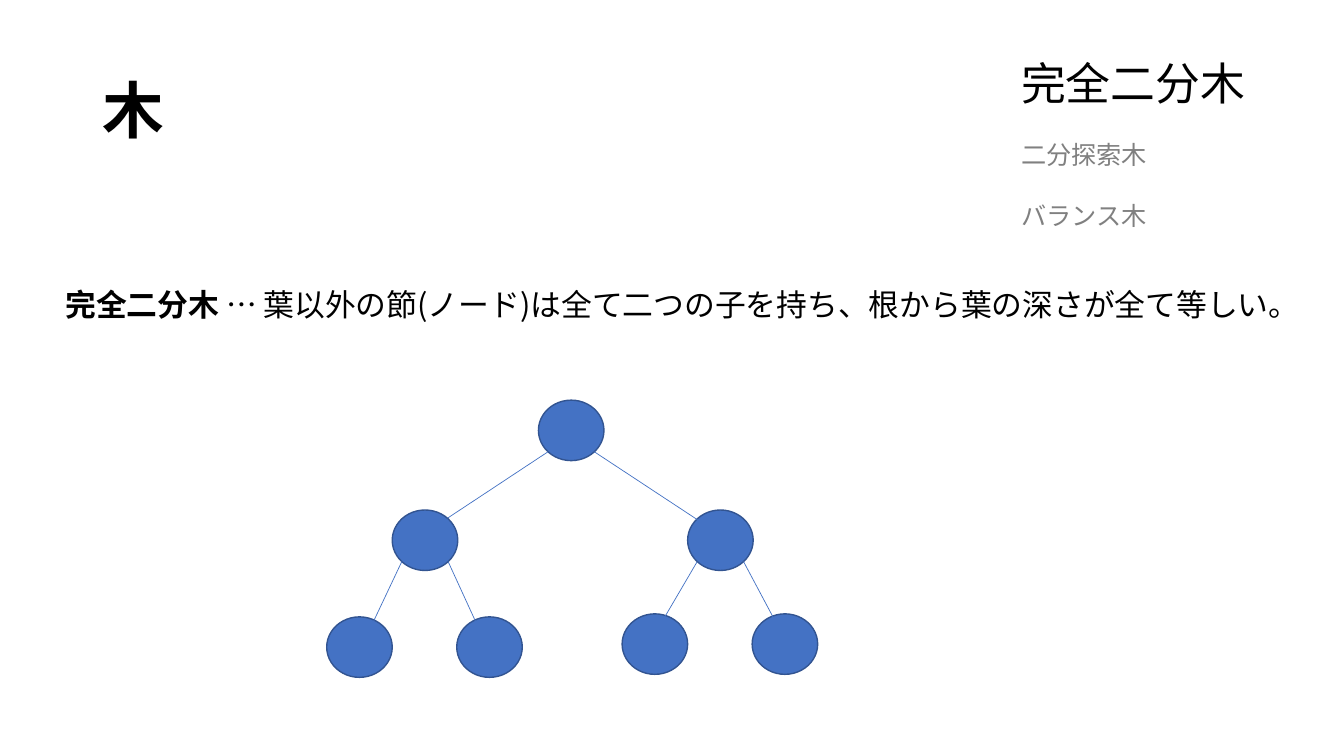
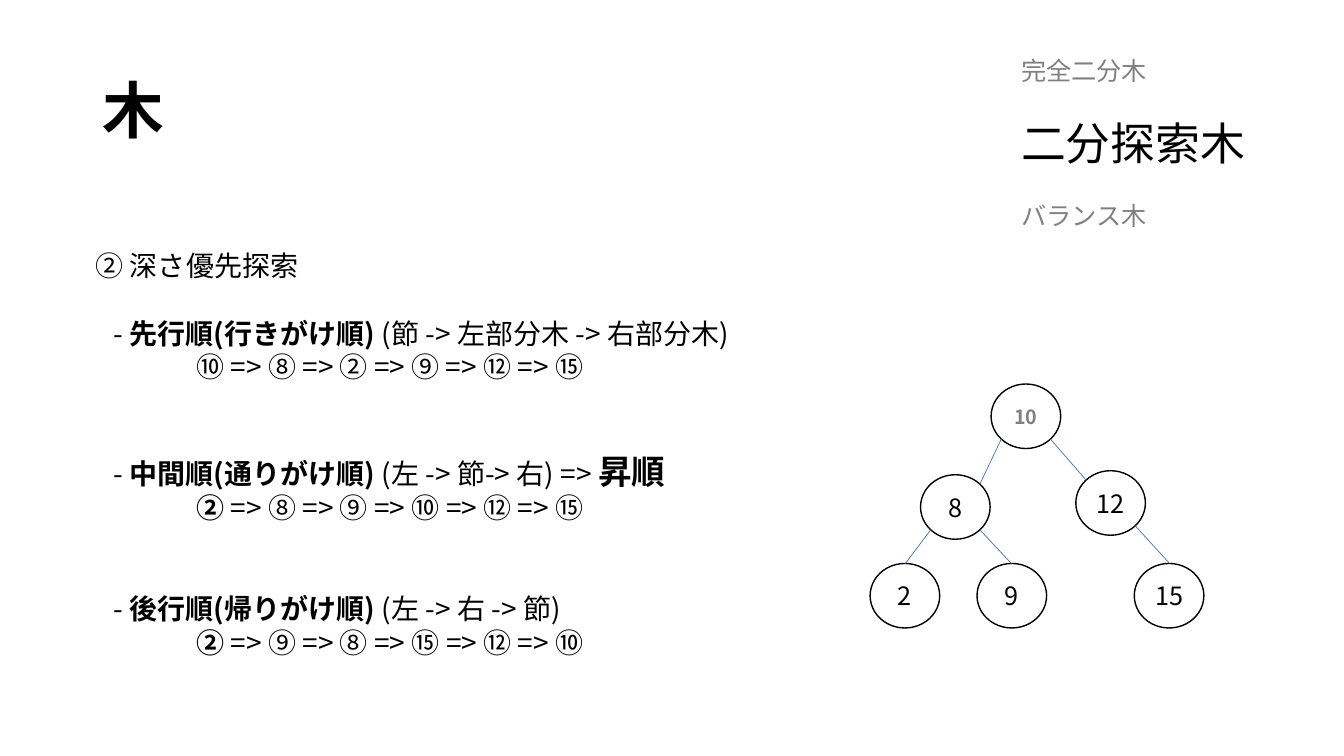
from lxml import etree
from pptx import Presentation
from pptx.dml.color import RGBColor
from pptx.enum.shapes import MSO_CONNECTOR, MSO_SHAPE
from pptx.enum.text import MSO_ANCHOR, PP_ALIGN
from pptx.oxml.ns import qn
from pptx.util import Inches, Pt

COLORS = {
    "paper": "FFFFFF",
    "ink": "000000",
    "muted": "808080",
    "node": "4472C4",
    "node_edge": "325491",
}
FONT = "Noto Sans CJK JP"
TOPICS = ["完全二分木", "二分探索木", "バランス木"]
LINE_HEIGHT = 1.2
SITE = 0.146  # distance of a diagonal connection site from the ellipse's frame


def color(name):
    return RGBColor.from_string(COLORS[name])


# Text
def add_span(para, text, size, bold=False, ink="ink"):
    span = para.add_run()
    span.text = text
    span.font.size = Pt(size)
    span.font.bold = bold
    span.font.name = FONT
    span.font.color.rgb = color(ink)
    east_asian = etree.SubElement(span._r.get_or_add_rPr(), qn("a:ea"))
    east_asian.set("typeface", FONT)


def add_box(page, left, top, width, height):
    box = page.shapes.add_textbox(
        Inches(left), Inches(top), Inches(width), Inches(height))
    frame = box.text_frame
    frame.word_wrap = True
    frame.margin_top = Inches(0.08)
    return frame


def add_line(frame, spans, size, gap=0, left=0, first=0):
    """Add one paragraph; spans are (text, bold) or (text, bold, size)."""
    para = frame.paragraphs[0]
    if para.runs:
        para = frame.add_paragraph()
    tallest = max([size] + [extra for span in spans for extra in span[2:]])
    para.line_spacing = Pt(tallest * LINE_HEIGHT)
    para.space_before = Pt(gap)
    properties = para._p.get_or_add_pPr()
    properties.set("marL", str(Inches(left)))
    properties.set("indent", str(Inches(first)))
    for text, bold, *own_size in spans:
        add_span(para, text, own_size[0] if own_size else size, bold)
    return para


# Parts shared by the slides
def add_page(deck, current):
    page = deck.slides.add_slide(deck.slide_layouts[6])
    page.background.fill.solid()
    page.background.fill.fore_color.rgb = color("paper")

    title = add_box(page, 0.92, 0.4, 3.13, 1.45)
    title.margin_top = Inches(0.05)
    title.vertical_anchor = MSO_ANCHOR.MIDDLE
    title.paragraphs[0].line_spacing = 0.9
    add_span(title.paragraphs[0], "木", 44, True)

    topics = add_box(page, 10.03, 0.47, 2.93, 1.85)
    for index, topic in enumerate(TOPICS):
        active = topic == current
        size = 32 if active else 18
        para = add_line(topics, [], size, gap=18 * LINE_HEIGHT if index else 0)
        add_span(para, topic, size, ink="ink" if active else "muted")
    return page


# Trees
def add_node(shapes, left, top, size, fill, edge):
    node = shapes.add_shape(
        MSO_SHAPE.OVAL, Inches(left), Inches(top), *map(Inches, size))
    node.shadow.inherit = False
    node.fill.solid()
    node.fill.fore_color.rgb = color(fill)
    node.line.color.rgb = color(edge)
    node.line.width = Pt(1)
    return node


def add_label(node, text, size=18, bold=False, ink="ink"):
    frame = node.text_frame
    frame.margin_left = frame.margin_right = 0
    frame.margin_top = frame.margin_bottom = 0
    frame.vertical_anchor = MSO_ANCHOR.MIDDLE
    frame.paragraphs[0].alignment = PP_ALIGN.CENTER
    add_span(frame.paragraphs[0], text, size, bold, ink)


def add_branch(shapes, parent, side, tip):
    """Draw from a lower diagonal site of the parent to the tip."""
    across = SITE if side == "left" else 1 - SITE
    branch = shapes.add_connector(
        MSO_CONNECTOR.STRAIGHT,
        int(parent.left + parent.width * across),
        int(parent.top + parent.height * (1 - SITE)),
        *map(Inches, tip))
    branch.line.color.rgb = color("node")
    branch.line.width = Pt(0.5)
    etree.SubElement(branch._element.spPr, qn("a:effectLst"))


def add_tree(shapes, places, branches, size, fill, edge):
    nodes = {name: add_node(shapes, left, top, size, fill, edge)
             for name, (left, top) in places.items()}
    for parent, side, tip in branches:
        add_branch(shapes, nodes[parent], side, tip)
    return nodes


# Slides
def add_complete_tree_page(deck):
    page = add_page(deck, TOPICS[0])
    definition = add_box(page, 0.55, 2.75, 12.42, 0.47)
    add_line(definition, [
        ("完全二分木 ", True),
        ("… 葉以外の節(ノード)は全て二つの子を持ち、"
         "根から葉の深さが全て等しい。", False),
    ], 22)
    places = {
        "root": (5.34, 3.97),
        "right": (6.82, 5.06), "left": (3.89, 5.06),
        "right leaf 2": (7.46, 6.09), "right leaf 1": (6.17, 6.09),
        "left leaf 2": (4.53, 6.12), "left leaf 1": (3.24, 6.12),
    }
    branches = [
        ("root", "left", (4.44, 5.14)), ("root", "right", (7.06, 5.25)),
        ("left", "left", (3.65, 6.28)), ("left", "right", (4.82, 6.39)),
        ("right", "left", (6.5, 6.28)), ("right", "right", (7.81, 6.39)),
    ]
    group = page.shapes.add_group_shape()
    add_tree(group.shapes, places, branches, (0.65, 0.6), "node", "node_edge")


def add_search_tree_page(deck):
    page = add_page(deck, TOPICS[1])
    # Each order: name, rule, result, first number, is it bold, the others
    orders = [
        ("先行順(行きがけ順)", " (節 -> 左部分木 -> 右部分木)", "",
         "⑩ ", False, "=> ⑧ => ② => ⑨ => ⑫ => ⑮"),
        ("中間順(通りがけ順)", " (左 -> 節-> 右) => ", "昇順",
         "② ", True, "=> ⑧ => ⑨ => ⑩ => ⑫ => ⑮"),
        ("後行順(帰りがけ順)", " (左 -> 右 -> 節)", "",
         "② ", True, "=> ⑨ => ⑧ => ⑮ => ⑫ => ⑩"),
    ]
    frame = add_box(page, 0.85, 2.39, 6.92, 4.54)
    add_line(frame, [("② 深さ優先探索", False)], 20)
    for index, (name, rule, result, start, bold, rest) in enumerate(orders):
        heading = [("- ", False), (name, True), (rule, False)]
        if result:
            heading.append((result, True, 24))
        add_line(frame, heading, 20, gap=48 if index else 24, first=0.18)
        add_line(frame, [(start, bold), (rest, False)], 20, left=1)

    places = {
        "10": (9.83, 3.81), "8": (9.13, 4.71), "12": (10.67, 4.67),
        "2": (8.63, 5.59), "15": (11.25, 5.59), "9": (9.69, 5.59),
    }
    branches = [
        ("10", "left", (9.72, 4.8)), ("10", "right", (10.77, 4.76)),
        ("8", "left", (8.98, 5.59)), ("8", "right", (10.03, 5.59)),
        ("12", "right", (11.6, 5.59)),
    ]
    nodes = add_tree(
        page.shapes, places, branches, (0.69, 0.64), "paper", "ink")
    for value, node in nodes.items():
        if value == "10":
            add_label(node, value, 14, True, "muted")
        else:
            add_label(node, value)


def main():
    deck = Presentation()
    deck.slide_width = Inches(13.33)
    deck.slide_height = Inches(7.5)
    add_complete_tree_page(deck)
    add_search_tree_page(deck)
    deck.save("out.pptx")


main()
